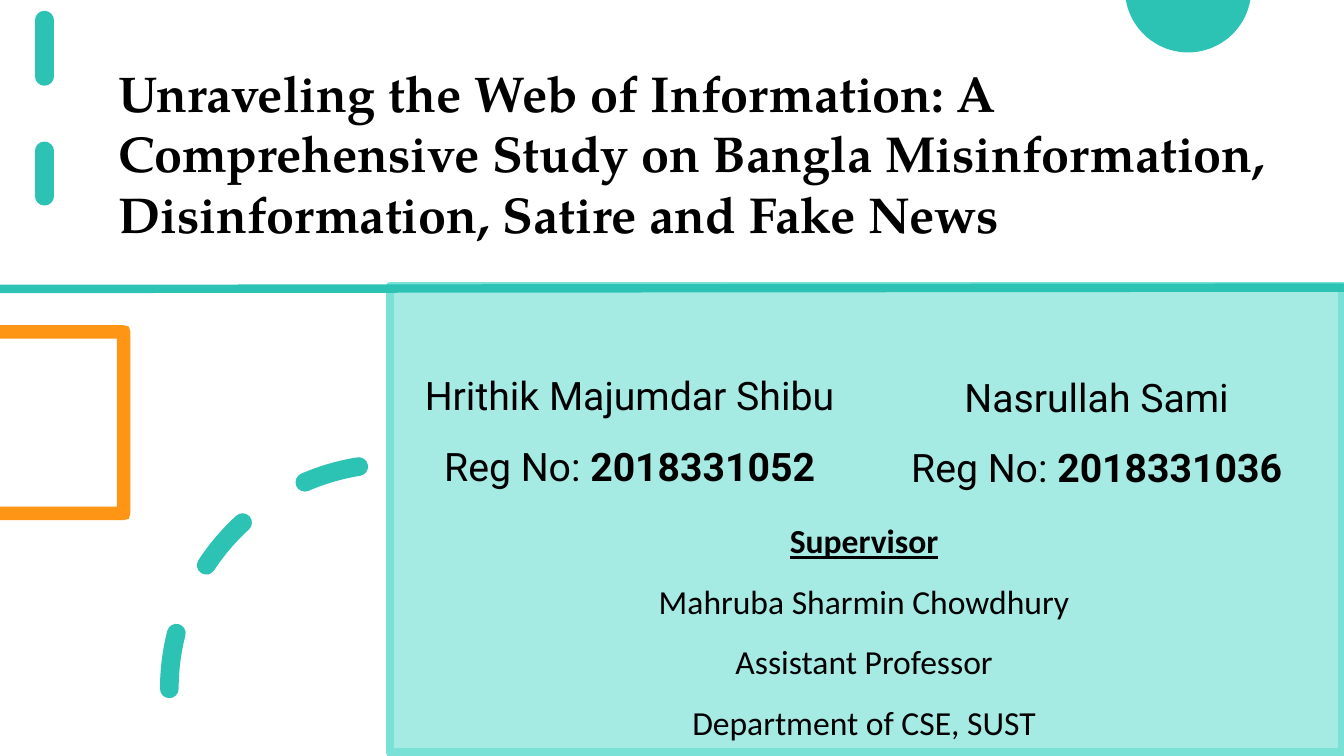
"""Build the title slide of a study on Bangla misinformation."""
import math

from lxml import etree
from pptx import Presentation
from pptx import util as u
from pptx.dml.color import RGBColor
from pptx.enum import dml, shapes, text
from pptx.oxml import ns

TEAL = RGBColor(0x2C, 0xC3, 0xB4)
PALE_TEAL = RGBColor(0xA5, 0xEB, 0xE4)
MID_TEAL = RGBColor(0x79, 0xE1, 0xD5)
ORANGE = RGBColor(0xFF, 0x95, 0x14)
WHITE = RGBColor(0xFF, 0xFF, 0xFF)
BLACK = RGBColor(0, 0, 0)


def style_line(shape, color, width, dashed=False):
    shape.line.color.rgb = color
    shape.line.width = u.Pt(width)
    if dashed:
        shape.line.dash_style = dml.MSO_LINE.DASH
        line = shape.line._get_or_add_ln()
        line.set("cap", "rnd")
        etree.SubElement(line, ns.qn("a:round"))


def write_text(shape, paragraphs, font_format, alignment, spacing, top_inset=0.04):
    frame = shape.text_frame
    frame_format = {
        "word_wrap": True,
        "auto_size": text.MSO_AUTO_SIZE.SHAPE_TO_FIT_TEXT,
        "vertical_anchor": text.MSO_ANCHOR.TOP,
        "margin_left": u.Inches(0.07),
        "margin_right": u.Inches(0.07),
        "margin_top": u.Inches(top_inset),
        "margin_bottom": u.Inches(0.04),
    }
    for name, value in frame_format.items():
        setattr(frame, name, value)
    for index, runs in enumerate(paragraphs):
        paragraph = frame.add_paragraph() if index else frame.paragraphs[0]
        paragraph.alignment = alignment
        paragraph.line_spacing = spacing
        for words, run_format in runs:
            for line_index, line in enumerate(words.split("\n")):
                if line_index:
                    paragraph.add_line_break()
                if not line:
                    continue
                run = paragraph.add_run()
                run.text = line
                run.font.color.rgb = BLACK
                for name, value in {**font_format, **run_format}.items():
                    setattr(run.font, name, value)


presentation = Presentation()
presentation.slide_width = u.Inches(10)
presentation.slide_height = u.Inches(10) * 9 // 16
slide = presentation.slides.add_slide(presentation.slide_layouts[6])

circle_x, circle_y, radius = 8.84, -0.08, 0.47
start = math.asin(-circle_y / radius)
angles = [start + (math.pi - 2 * start) * step / 40 for step in range(41)]
half_circle = [(circle_x + radius * math.cos(a), circle_y + radius * math.sin(a)) for a in angles]
frame_outline = [
    (0, 2.42), (0.92, 2.42), (0.96, 2.43), (0.97, 2.47), (0.97, 3.82), (0.96, 3.86),
    (0.92, 3.87), (0, 3.87), (0, 3.77), (0.87, 3.77), (0.87, 2.52), (0, 2.52),
]
for outline, color in ((half_circle, TEAL), (frame_outline, ORANGE)):
    points = [(u.Inches(x), u.Inches(y)) for x, y in outline]
    builder = slide.shapes.build_freeform(*points[0])
    builder.add_line_segments(points[1:], close=True)
    shape = builder.convert_to_shape()
    shape.shadow.inherit = False
    shape.fill.solid()
    shape.fill.fore_color.rgb = color
    shape.line.fill.background()

arc = slide.shapes.add_shape(
    shapes.MSO_SHAPE.ARC, u.Inches(1.26), u.Inches(3.45), u.Inches(3.35), u.Inches(3.35)
)
arc.shadow.inherit = False
arc.adjustments[0] = 162
arc.adjustments[1] = 0
arc.rotation = 270
arc.fill.background()
style_line(arc, TEAL, 10, dashed=True)

panels = {}
for name, box, color in (
    ("authors", (2.9, 2.13, 7.09, 3.47), PALE_TEAL),
    ("title", (0.81, 0.42, 8.89, 1.44), WHITE),
):
    panel = slide.shapes.add_shape(shapes.MSO_SHAPE.RECTANGLE, *map(u.Inches, box))
    panel.shadow.inherit = False
    panel.fill.solid()
    panel.fill.fore_color.rgb = color
    panel.line.fill.background()
    panels[name] = panel
style_line(panels["authors"], MID_TEAL, 4.5)

for ends, width, dashed in (
    ((0.33, 0.15, 0.33, 1.46), 10, True),
    ((0, 2.15, 10, 2.14), 4.5, False),
):
    connector = slide.shapes.add_connector(shapes.MSO_CONNECTOR.STRAIGHT, *map(u.Inches, ends))
    style_line(connector, TEAL, width, dashed)
    etree.SubElement(connector._element.spPr, ns.qn("a:effectLst"))

title = (
    "Unraveling the Web of Information: A Comprehensive Study on Bangla "
    "Misinformation, Disinformation, Satire and Fake News"
)
title_font = {"name": "TeX Gyre Pagella", "size": u.Pt(27), "bold": True}
write_text(panels["title"], [[(title, {})]], title_font, text.PP_ALIGN.LEFT, 1.0)

author_font = {"name": "Roboto", "size": u.Pt(21)}
for box, author, number in (
    ((2.87, 2.55, 3.63, 0.96), "Hrithik Majumdar Shibu", "2018331052"),
    ((6.41, 2.56, 3.5, 0.96), "Nasrullah Sami", "2018331036"),
):
    author_box = slide.shapes.add_textbox(*map(u.Inches, box))
    paragraphs = [[(author, {})], [("Reg No: ", {}), (number, {"bold": True})]]
    write_text(author_box, paragraphs, author_font, text.PP_ALIGN.CENTER, 1.5)

supervisor_box = slide.shapes.add_textbox(*map(u.Inches, (2.9, 3.5, 7.06, 1.93)))
supervisor = [[
    ("Supervisor", {"bold": True, "underline": True}),
    ("\nMahruba Sharmin Chowdhury\nAssistant Professor\nDepartment of CSE, SUST", {}),
]]
supervisor_font = {"name": "Calibri", "size": u.Pt(18)}
write_text(supervisor_box, supervisor, supervisor_font, text.PP_ALIGN.CENTER, 1.5, 0.22)

presentation.save("out.pptx")
